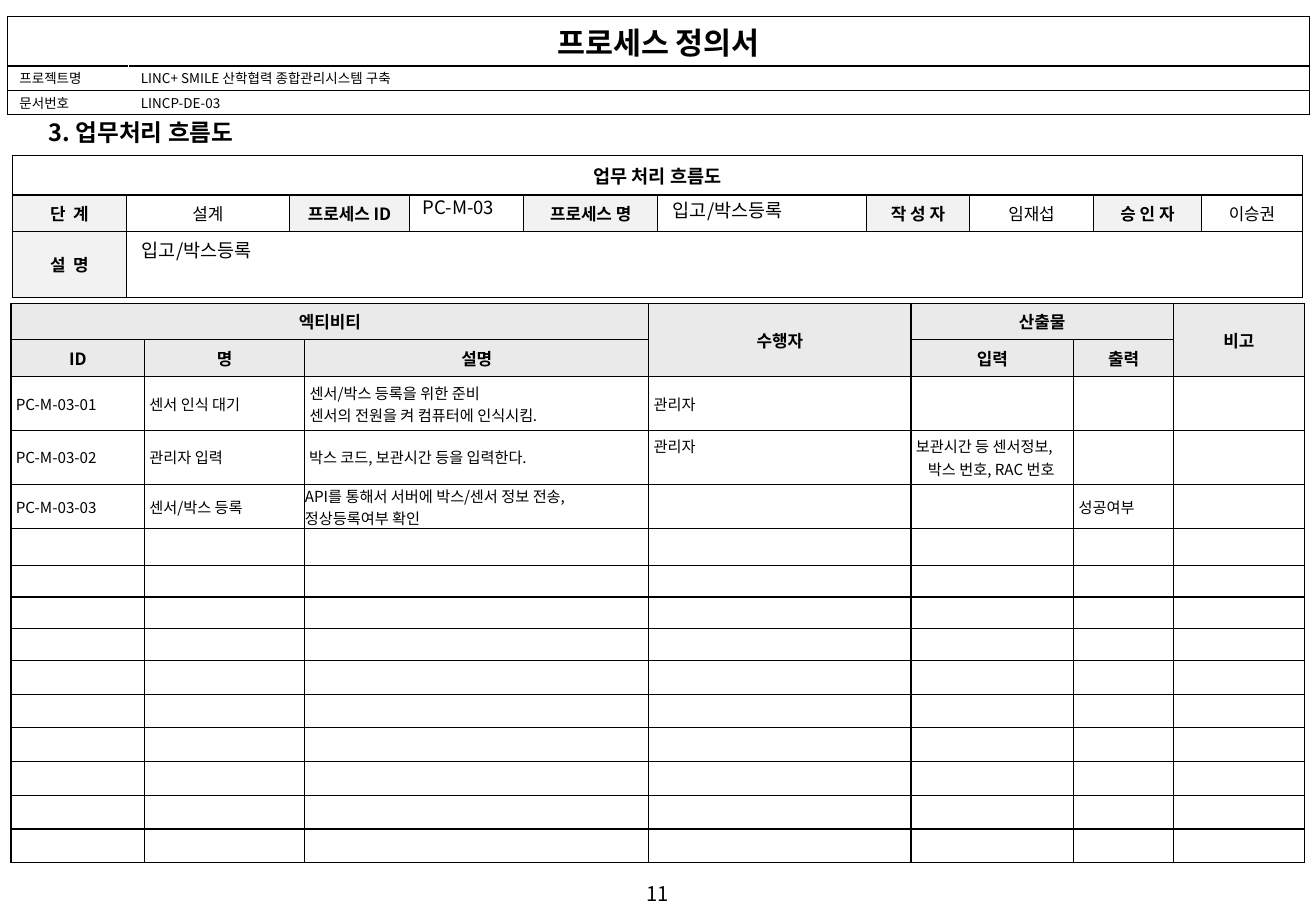
from dataclasses import dataclass

from lxml.etree import SubElement
from pptx import Presentation
from pptx.dml.color import RGBColor
from pptx.enum.text import MSO_ANCHOR as Anchor, MSO_AUTO_SIZE as AutoSize, PP_ALIGN as Align
from pptx.oxml import parse_xml
from pptx.oxml.ns import nsdecls, qn
from pptx.util import Pt


@dataclass(frozen=True)
class Theme:
    font: str = "Noto Sans CJK KR"
    ink: str = "000000"
    paper: str = "FFFFFF"
    label_fill: str = "F2F2F2"
    header_fill: str = "EAEAEA"
    document: float = 18
    title: float = 14
    page: float = 12
    value: float = 11
    label: float = 10
    body: float = 9
    small: float = 8
    outline: float = 1
    grid: float = 0.75


THEME = Theme()


def write(frame, text, size=THEME.body, bold=False, align=Align.LEFT, hanging=0):
    frame.clear()
    for index, line in enumerate(text.split("\n")):
        paragraph = frame.add_paragraph() if index else frame.paragraphs[0]
        paragraph.alignment = align
        if hanging:
            properties = paragraph._p.get_or_add_pPr()
            properties.set("marL", str(Pt(hanging)))
            properties.set("indent", str(-Pt(hanging)))
        run = paragraph.add_run()
        run.text = line
        run.font.size = Pt(size)
        run.font.bold = bold
        run.font.name = THEME.font
        run.font.color.rgb = RGBColor.from_string(THEME.ink)
        SubElement(run._r.get_or_add_rPr(), qn("a:ea"), typeface=THEME.font)


class Sheet:
    def __init__(self, slide, theme):
        self.slide = slide
        self.theme = theme

    def frame(self, shape, box, text, **format):
        shape.left, shape.top, shape.width, shape.height = map(Pt, box)
        frame = shape.text_frame
        frame.word_wrap = True
        frame.auto_size = AutoSize.NONE
        frame.vertical_anchor = Anchor.MIDDLE
        write(frame, text, **format)

    def title(self, box, text):
        self.frame(self.slide.shapes.title, box, text, size=self.theme.title, bold=True)

    def text(self, box, text, **format):
        shape = self.slide.shapes.add_textbox(*map(Pt, box))
        self.frame(shape, box, text, **format)

    def border(self, cell, **sides):
        properties = cell._tc.get_or_add_tcPr()
        for position, side in enumerate("LRTB"):
            if side not in sides:
                continue
            tag = qn(f"a:ln{side}")
            previous = properties.find(tag)
            if previous is not None:
                properties.remove(previous)
            color, width = sides[side]
            properties.insert(position, parse_xml(
                f'<a:ln{side} {nsdecls("a")} w="{Pt(width)}"><a:solidFill>'
                f'<a:srgbClr val="{color}"/></a:solidFill></a:ln{side}>'))

    def table(self, left, top, widths, heights, line, outer):
        rows, columns = len(heights), len(widths)
        table = self.slide.shapes.add_table(
            rows, columns, Pt(left), Pt(top), Pt(sum(widths)), Pt(sum(heights))).table
        table.first_row = table.horz_banding = False
        for column, width in zip(table.columns, widths):
            column.width = Pt(width)
        for row, height in zip(table.rows, heights):
            row.height = Pt(height)
        for row in range(rows):
            for column in range(columns):
                edges = {"L": column == 0, "R": column == columns - 1,
                         "T": row == 0, "B": row == rows - 1}
                cell = table.cell(row, column)
                self.style(cell, self.theme.paper, (2.9, 2.9))
                self.border(cell, **{
                    side: (self.theme.ink, self.theme.outline if edge and side in outer else line)
                    for side, edge in edges.items()})
                SubElement(cell.text_frame.paragraphs[0]._p, qn("a:endParaRPr"),
                           sz=str(int(self.theme.body * 100)))
        return table

    def style(self, cell, fill, margins, anchor=Anchor.MIDDLE):
        cell.fill.solid()
        cell.fill.fore_color.rgb = RGBColor.from_string(fill)
        cell.margin_left = cell.margin_right = Pt(margins[0])
        cell.margin_top = cell.margin_bottom = Pt(margins[1])
        cell.vertical_anchor = anchor

    def cell(self, table, row, column, text, to=None, fill=THEME.paper,
             margins=(2.9, 2.9), anchor=Anchor.MIDDLE, **format):
        cell = table.cell(row, column)
        if to:
            cell.merge(table.cell(*to))
        self.style(cell, fill, margins, anchor)
        write(cell.text_frame, text, **format)


def document_header(sheet):
    table = sheet.table(4.3, 9.8, [72, 700], [29.2, 14.5, 14.5], THEME.outline, "")
    sheet.cell(table, 0, 0, "프로세스 정의서", to=(0, 1), margins=(7.2, 1.4),
               size=THEME.document, bold=True, align=Align.CENTER)
    entries = [("프로젝트명", "LINC+ SMILE 산학협력 종합관리시스템 구축"),
               ("문서번호", "LINCP-DE-03")]
    for row, entry in enumerate(entries, 1):
        for column, text in enumerate(entry):
            sheet.cell(table, row, column, text, margins=(7.2, 1.4),
                       anchor=Anchor.TOP, size=THEME.small)
        sheet.border(table.cell(row, 0), R=(THEME.paper, THEME.outline))
        sheet.border(table.cell(row, 1), L=(THEME.paper, THEME.outline))


def process_summary(sheet):
    widths = [67.7, 96.5, 71.3, 67.7, 79.2, 123.8, 61.2, 73.4, 64.1, 59.8]
    table = sheet.table(7.3, 92.2, widths, [23.4, 21.7, 39], THEME.grid, "LTRB")
    centered = dict(margins=(7.2, 3.6), align=Align.CENTER)
    label = dict(centered, fill=THEME.label_fill, size=THEME.label, bold=True)
    sheet.cell(table, 0, 0, "업무 처리 흐름도", to=(0, 9), size=THEME.value, bold=True, **centered)
    for column, text in zip(range(0, 10, 2), ["단  계", "프로세스 ID", "프로세스 명", "작 성 자", "승 인 자"]):
        sheet.cell(table, 1, column, text, **label)
    for column, text in [(1, "설계"), (7, "임재섭"), (9, "이승권")]:
        sheet.cell(table, 1, column, text, size=THEME.label, **centered)
    sheet.cell(table, 2, 0, "설  명", **label)
    table.cell(2, 1).merge(table.cell(2, 9))


def activity_table(sheet):
    widths = [79.2, 95, 203.8, 155.5, 96.5, 59, 77.8]
    heights = [21.7, 21.7, 32, 31.6, 26.4, 21.6] + [18.8] * 3 + [20] * 6
    table = sheet.table(6.5, 179.8, widths, heights, THEME.grid, "L")
    headers = [(0, 0, "엑티비티", (0, 2)), (0, 3, "수행자", (1, 3)),
               (0, 4, "산출물", (0, 5)), (0, 6, "비고", (1, 6)),
               (1, 0, "ID", None), (1, 1, "명", None), (1, 2, "설명", None),
               (1, 4, "입력", None), (1, 5, "출력", None)]
    for row, column, text, to in headers:
        sheet.cell(table, row, column, text, to=to, fill=THEME.header_fill,
                   margins=(7.2, 3.6), size=THEME.label, bold=True, align=Align.CENTER)
    names = ["센서 인식 대기", "관리자 입력", "센서/박스 등록"]
    for number, name in enumerate(names, 1):
        sheet.cell(table, number + 1, 0, f"PC-M-03-{number:02}")
        sheet.cell(table, number + 1, 1, name)
    sheet.cell(table, 2, 2, "센서/박스 등록을 위한 준비\n센서의 전원을 켜 컴퓨터에 인식시킴.")
    sheet.cell(table, 3, 2, "박스 코드, 보관시간 등을 입력한다.", margins=(2.5, 0))
    sheet.cell(table, 4, 2, "API를 통해서 서버에 박스/센서 정보 전송,\n정상등록여부 확인", margins=(0, 0))
    sheet.cell(table, 2, 3, "관리자")
    sheet.cell(table, 3, 3, "관리자", anchor=Anchor.TOP)
    sheet.cell(table, 3, 4, "보관시간 등 센서정보, 박스 번호, RAC 번호", hanging=7.2)
    sheet.cell(table, 4, 5, "성공여부", hanging=7.2)


presentation = Presentation()
presentation.slide_width, presentation.slide_height = Pt(780), Pt(540)
slide = presentation.slides.add_slide(presentation.slide_layouts[5])
sheet = Sheet(slide, THEME)

document_header(sheet)
sheet.title((21.6, 66.2, 141, 24.5), "3. 업무처리 흐름도")
process_summary(sheet)
activity_table(sheet)
sheet.text((243.4, 112.3, 67, 20.9), "PC-M-03", size=THEME.value)
sheet.text((391.7, 113.8, 123, 20.9), "입고/박스등록", size=THEME.value)
sheet.text((77, 137.5, 686, 20.9), "입고/박스등록", size=THEME.value)
sheet.text((0, 519, 780, 21), "11", size=THEME.page, align=Align.CENTER)

presentation.save("out.pptx")
